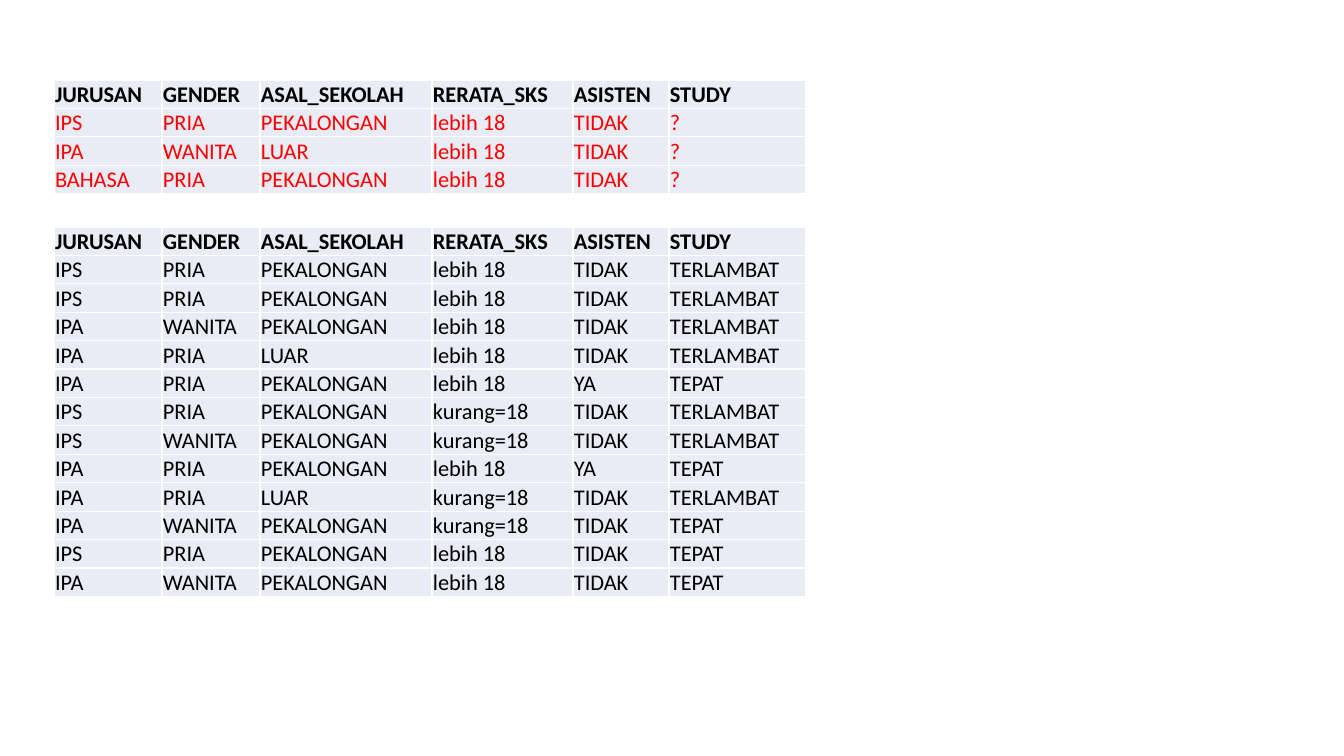
from pptx import Presentation
from pptx import util as u
from pptx.dml.color import RGBColor
from pptx.enum import text

HEADER = ("JURUSAN", "GENDER", "ASAL_SEKOLAH", "RERATA_SKS", "ASISTEN", "STUDY")
QUERIES = [
    ("IPS", "PRIA", "PEKALONGAN", "lebih 18", "TIDAK", "?"),
    ("IPA", "WANITA", "LUAR", "lebih 18", "TIDAK", "?"),
    ("BAHASA", "PRIA", "PEKALONGAN", "lebih 18", "TIDAK", "?"),
]
TRAINING = [
    ("IPS", "PRIA", "PEKALONGAN", "lebih 18", "TIDAK", "TERLAMBAT"),
    ("IPS", "PRIA", "PEKALONGAN", "lebih 18", "TIDAK", "TERLAMBAT"),
    ("IPA", "WANITA", "PEKALONGAN", "lebih 18", "TIDAK", "TERLAMBAT"),
    ("IPA", "PRIA", "LUAR", "lebih 18", "TIDAK", "TERLAMBAT"),
    ("IPA", "PRIA", "PEKALONGAN", "lebih 18", "YA", "TEPAT"),
    ("IPS", "PRIA", "PEKALONGAN", "kurang=18", "TIDAK", "TERLAMBAT"),
    ("IPS", "WANITA", "PEKALONGAN", "kurang=18", "TIDAK", "TERLAMBAT"),
    ("IPA", "PRIA", "PEKALONGAN", "lebih 18", "YA", "TEPAT"),
    ("IPA", "PRIA", "LUAR", "kurang=18", "TIDAK", "TERLAMBAT"),
    ("IPA", "WANITA", "PEKALONGAN", "kurang=18", "TIDAK", "TEPAT"),
    ("IPS", "PRIA", "PEKALONGAN", "lebih 18", "TIDAK", "TEPAT"),
    ("IPA", "WANITA", "PEKALONGAN", "lebih 18", "TIDAK", "TEPAT"),
]
COLORS = {"cell": "E9EBF5", "text": "000000", "query": "FF0000"}
COL_WIDTHS = (108, 98, 172, 141, 96, 137)
LEFT = 54
TABLES = [
    dict(rows=QUERIES, top=80, height=110, color="query"),
    dict(rows=TRAINING, top=227, height=359, color="text"),
]


def px(n):
    return round(n * 914400 / 100.8)


def write(tf, value, size=16, color="text", bold=False):
    r = tf.paragraphs[0].add_run()
    r.text = value
    r.font.name = "Calibri"
    r.font.size = u.Pt(size)
    r.font.bold = bold
    r.font.color.rgb = RGBColor.from_string(COLORS[color])


def add_records(s, rows, top, height, color):
    records = [HEADER, *rows]
    table = s.shapes.add_table(len(records), len(HEADER), px(LEFT), px(top),
                               px(sum(COL_WIDTHS)), px(height)).table
    table.first_row = table.horz_banding = False
    for column, width in zip(table.columns, COL_WIDTHS):
        column.width = px(width)
    for i, record in enumerate(records):
        for j, value in enumerate(record):
            cell = table.cell(i, j)
            cell.fill.solid()
            cell.fill.fore_color.rgb = RGBColor.from_string(COLORS["cell"])
            cell.vertical_anchor = text.MSO_ANCHOR.BOTTOM
            cell.margin_left = cell.margin_right = cell.margin_top = px(1)
            cell.margin_bottom = 0
            write(cell.text_frame, value, bold=i == 0, color=color if i else "text")


def main():
    prs = Presentation()
    prs.slide_width, prs.slide_height = px(1344), px(756)
    s = prs.slides.add_slide(prs.slide_layouts[6])
    for spec in TABLES:
        add_records(s, **spec)
    prs.save("out.pptx")


if __name__ == "__main__":
    main()
